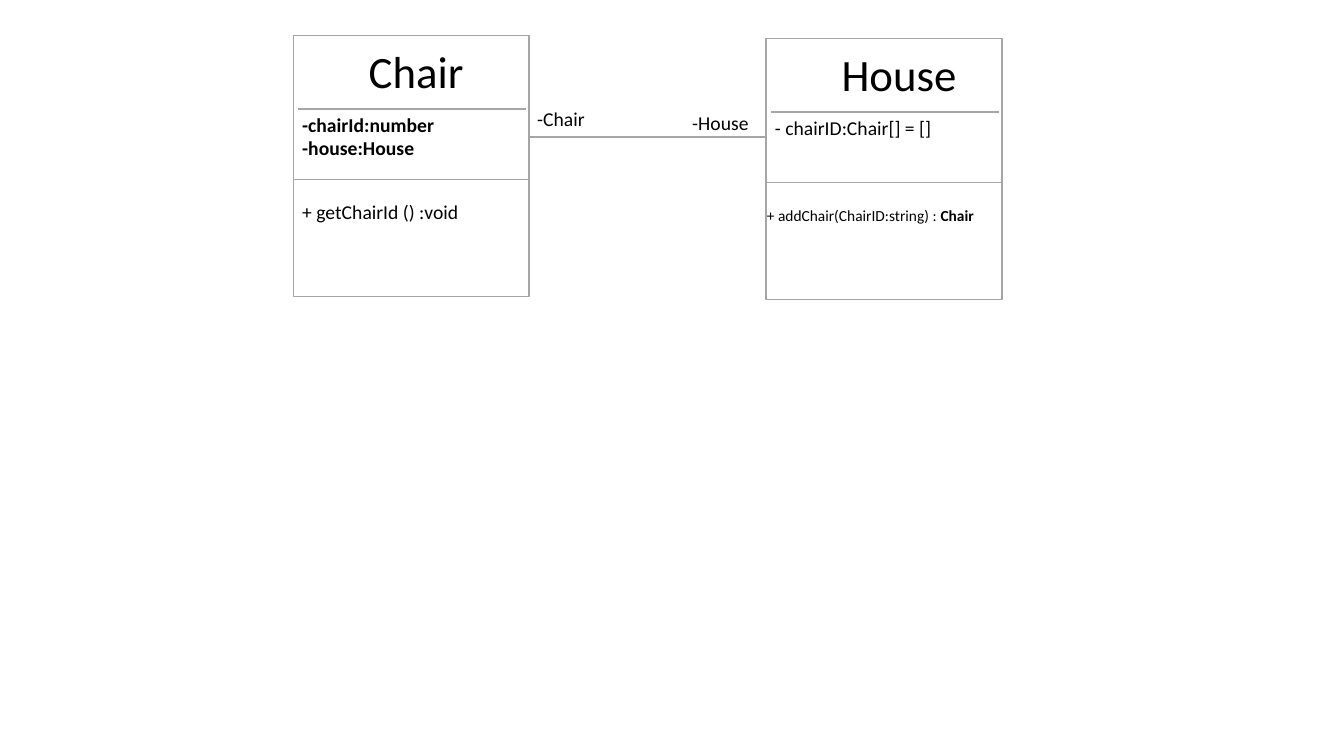
"""Build a class diagram slide linking Chair and House."""
from pptx import Presentation
from pptx.dml.color import RGBColor
from pptx.enum.shapes import MSO_CONNECTOR, MSO_SHAPE
from pptx.enum.text import MSO_AUTO_SIZE
from pptx.oxml.ns import qn
from pptx.util import Pt

RECT = MSO_SHAPE.RECTANGLE
LINE = MSO_CONNECTOR.STRAIGHT
GROW = MSO_AUTO_SIZE.SHAPE_TO_FIT_TEXT

WIDE, HIGH = 168.5, 186.5
CLASSES = [
    {"at": (209.5, 25.2), "name": "Chair", "span": 82.8,
     "fields": ["-chairId:number", "-house:House"], "bold": True, "room": 109.4,
     "call": ["+ getChairId () :void"], "size": 14,
     "spot": (-0.7, 113.8, 127.4, 24.5)},
    {"at": (547.2, 27.4), "name": "House", "span": 97.2,
     "fields": ["- chairID:Chair[] = []"], "bold": False, "room": 126.7,
     "call": [[("+ addChair(ChairID:string) : ", False), ("Chair", True)]],
     "size": 11, "spot": (-6.5, 116.6, 163.4, 20.9)},
]
ROLES = [("-Chair", 376.6, 72.7, 49), ("-House", 487.4, 75.6, 61.9)]
LINK = (378.7, 97.9, 547.2)


def color(code):
    return RGBColor.from_string(code)


def write(lines, x, y, wide, high, size=14, bold=False, wrap=False):
    box = slide.shapes.add_textbox(Pt(x), Pt(y), Pt(wide), Pt(high))
    frame = box.text_frame
    frame.word_wrap = wrap
    frame.auto_size = GROW
    for i, line in enumerate(lines):
        para = frame.add_paragraph() if i else frame.paragraphs[0]
        parts = [(line, bold)] if isinstance(line, str) else line
        for text, heavy in parts:
            run = para.add_run()
            run.text = text
            font = run.font
            font.name, font.size, font.bold = "Calibri", Pt(size), heavy
            font.color.rgb = color("000000")


def rule(x, y, end):
    line = slide.shapes.add_connector(LINE, Pt(x), Pt(y), Pt(end), Pt(y))
    line.line.color.rgb = color("A6A6A6")
    line.line.width = Pt(1)
    props = line._element.spPr
    props.append(props.makeelement(qn("a:effectLst"), {}))


def draw(item):
    x, y = item["at"]
    box = slide.shapes.add_shape(RECT, Pt(x), Pt(y), Pt(WIDE), Pt(HIGH))
    box.shadow.inherit = False
    box.fill.solid()
    box.fill.fore_color.rgb = color("FFFFFF")
    box.line.color.rgb = color("A5A5A5")
    box.line.width = Pt(1)
    write([item["name"]], x + 46.8, y + 2.2, item["span"], 46, size=32)
    rule(x + 3.6, y + 52.6, x + 166.3)
    fields = item["fields"]
    write(fields, x - 0.7, y + 51.8, item["room"],
          7.2 + 17 * len(fields), bold=item["bold"])
    rule(x, y + 103, x + WIDE)
    dx, dy, wide, high = item["spot"]
    write(item["call"], x + dx, y + dy, wide, high, size=item["size"])


deck = Presentation()
deck.slide_width, deck.slide_height = Pt(960), Pt(540)
slide = deck.slides.add_slide(deck.slide_layouts[6])
for item in CLASSES:
    draw(item)
rule(*LINK)
for role, x, y, wide in ROLES:
    write([role], x, y, wide, 24.5, wrap=role == "-House")
deck.save("out.pptx")
